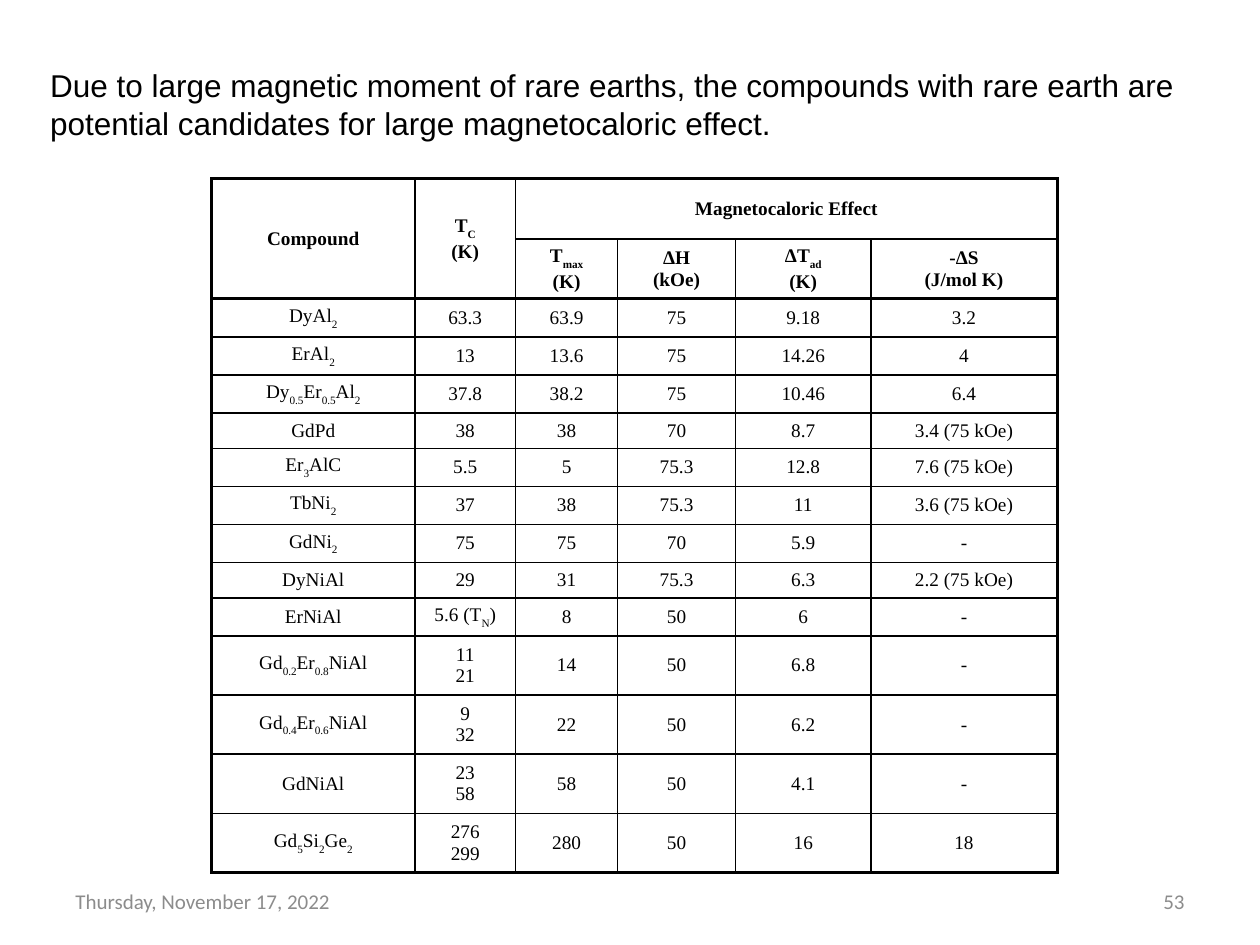
from lxml.etree import SubElement as Sub
from pptx import Presentation
from pptx.dml.color import RGBColor as RGB
from pptx.enum.text import MSO_ANCHOR as Anchor, MSO_AUTO_SIZE as Fit, PP_ALIGN as Align
from pptx.oxml.ns import qn
from pptx.util import Pt

COLORS = {"ink": "000000", "grey": "8C8C8C"}
HEAD = {"name": "Times New Roman", "size": Pt(11), "bold": True}
BODY = {**HEAD, "bold": False}
TITLE = {"name": "Arial", "size": Pt(18)}
FOOT = {"name": "Calibri", "size": Pt(12)}


def write(frame, text, style, color, align):
    """Fill a frame: | starts a paragraph, ~ switches subscript on and off."""
    for i, line in enumerate(text.split("|")):
        para = frame.paragraphs[0] if i == 0 else frame.add_paragraph()
        para.alignment = align
        for j, part in enumerate(line.split("~")):
            if not part:
                continue
            run = para.add_run()
            run.text = part
            for key, value in style.items():
                setattr(run.font, key, value)
            run.font.color.rgb = RGB.from_string(COLORS[color])
            if j % 2:
                run._r.get_or_add_rPr().set("baseline", "-30000")


def border(cell, widths):
    """Draw the cell's sides, given as a dict of side letter to points."""
    props = cell._tc.get_or_add_tcPr()
    for side, width in widths.items():
        line = Sub(props, qn("a:ln" + side), w=str(Pt(width)))
        fill = Sub(line, qn("a:solidFill"))
        Sub(fill, qn("a:srgbClr"), val=COLORS["ink"])


deck = Presentation()
deck.slide_width, deck.slide_height = Pt(720), Pt(540)
slide = deck.slides.add_slide(deck.slide_layouts[6])

# Title, date and page number
claim = ("Due to large magnetic moment of rare earths, the compounds with rare "
         "earth are potential candidates for large magnetocaloric effect.")
boxes = [
    ((36, 500.4, 168, 28.8), "Thursday, November 17, 2022", FOOT, "grey", Align.LEFT),
    ((516, 500.4, 168, 28.8), "53", FOOT, "grey", Align.RIGHT),
    ((21.6, 34.6, 672.5, 49.7), claim, TITLE, "ink", Align.LEFT),
]
for place, text, style, color, align in boxes:
    frame = slide.shapes.add_textbox(*map(Pt, place)).text_frame
    frame.word_wrap = True
    frame.auto_size = Fit.NONE
    frame.vertical_anchor = Anchor.MIDDLE
    write(frame, text, style, color, align)

# Table content; None marks a cell covered by a merge
rows = [
    ["Compound", "T~C~|(K)", "Magnetocaloric Effect", None, None, None],
    [None, None, "T~max~|(K)", "ΔH|(kOe)", "ΔT~ad~|(K)", "-ΔS|(J/mol K)"],
    ["DyAl~2~", "63.3", "63.9", "75", "9.18", "3.2"],
    ["ErAl~2~", "13", "13.6", "75", "14.26", "4"],
    ["Dy~0.5~Er~0.5~Al~2~", "37.8", "38.2", "75", "10.46", "6.4"],
    ["GdPd", "38", "38", "70", "8.7", "3.4 (75 kOe)"],
    ["Er~3~AlC", "5.5", "5", "75.3", "12.8", "7.6 (75 kOe)"],
    ["TbNi~2~", "37", "38", "75.3", "11", "3.6 (75 kOe)"],
    ["GdNi~2~", "75", "75", "70", "5.9", "-"],
    ["DyNiAl", "29", "31", "75.3", "6.3", "2.2 (75 kOe)"],
    ["ErNiAl", "5.6 (T~N~)", "8", "50", "6", "-"],
    ["Gd~0.2~Er~0.8~NiAl", "11|21", "14", "50", "6.8", "-"],
    ["Gd~0.4~Er~0.6~NiAl", "9|32", "22", "50", "6.2", "-"],
    ["GdNiAl", "23|58", "58", "50", "4.1", "-"],
    ["Gd~5~Si~2~Ge~2~", "276|299", "280", "50", "16", "18"],
]
wide = [116, 57.7, 58.2, 67.5, 77.3, 106.4]
high = [34.3] * 2 + [20.2] * 9 + [33.8] * 4

# Table grid
table = slide.shapes.add_table(len(rows), len(wide), Pt(121), Pt(102.2),
                               Pt(sum(wide)), Pt(sum(high))).table
table.first_row = table.horz_banding = False
for col, width in zip(table.columns, wide):
    col.width = Pt(width)
for row, height in zip(table.rows, high):
    row.height = Pt(height)
for top, left, low, right in [(0, 0, 1, 0), (0, 1, 1, 1), (0, 2, 0, 5)]:
    table.cell(top, left).merge(table.cell(low, right))

# Cells: thick lines around the table and below its head
last = len(rows) - 1
for r, row in enumerate(rows):
    for c, text in enumerate(row):
        cell = table.cell(r, c)
        low, right = r, c
        if cell.is_merge_origin:
            low, right = r + cell.span_height - 1, c + cell.span_width - 1
        border(cell, {"L": 2 if c == 0 else 1,
                      "R": 2 if right == len(wide) - 1 else 1,
                      "T": 2 if r in (0, 2) else 1,
                      "B": 2 if low in (1, last) else 1})
        cell.fill.background()
        cell.vertical_anchor = Anchor.MIDDLE
        cell.margin_left = cell.margin_right = Pt(5.4)
        cell.margin_top = cell.margin_bottom = Pt(3.6)
        if text:
            write(cell.text_frame, text, HEAD if r < 2 else BODY, "ink", Align.CENTER)

deck.save("out.pptx")
